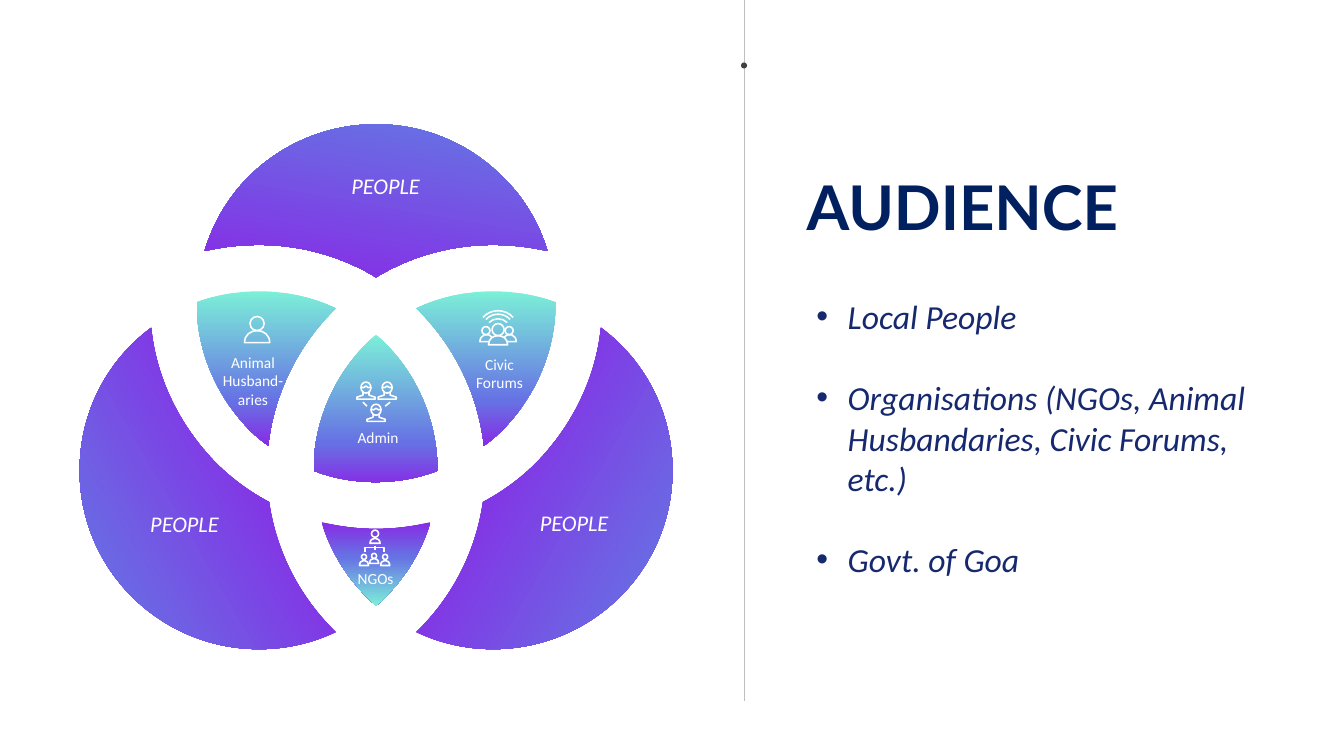
from copy import deepcopy

from lxml import etree
from pptx import Presentation
from pptx import util as u
from pptx.dml.color import RGBColor
from pptx.enum import shapes, text
from pptx.oxml.ns import qn

WHITE = RGBColor(0xFF, 0xFF, 0xFF)
PURPLE = RGBColor(0x88, 0x2B, 0xE5)
BLUE = RGBColor(0x66, 0x72, 0xE4)
MINT = RGBColor(0x7C, 0xEF, 0xD8)
NAVY = RGBColor(0x00, 0x20, 0x60)
INK = RGBColor(0x16, 0x28, 0x6E)
GREY = RGBColor(0xBF, 0xBF, 0xBF)
CHARCOAL = RGBColor(0x40, 0x40, 0x40)

TITLE = "AUDIENCE"
BULLETS = ["Local People",
           "Organisations (NGOs, Animal Husbandaries, Civic Forums, etc.)",
           "Govt. of Goa"]
PEOPLE = [(2.94, 1.71, 1.77, 0.27), (1.14, 5.06, 1.38, 0.27), (4.81, 5.05, 1.77, 0.27)]
LABELS = [
    (["Admin"], (3.21, 4.25, 1.08, 0.19), 0, True),
    (["Animal Husband-", "aries"], (1.98, 3.45, 1.06, 0.66), 1, True),
    (["Civic", "Forums"], (4.62, 3.47, 0.67, 0.47), 1, False),
    (["NGOs"], (3.35, 5.6, 0.75, 0.29), 1, True),
]

CENTRE = 3.73
SIDE_STOPS = [(0.28, PURPLE), (0.92, BLUE), (1, MINT)]
TOP_STOPS = [(0.03, MINT), (0.13, BLUE), (0.99, PURPLE)]
LENS_STOPS = [(0, MINT), (0.71, BLUE), (1, PURPLE)]
TIP_STOPS = [(0, PURPLE), (0.42, BLUE), (1, MINT)]

SIDE_PETAL = [(2.14, 4.59), (1.78, 4.22), (1.55, 3.75), (1.5, 3.25),
              (1.07, 3.57), (0.79, 4.08), (0.79, 4.67),
              (0.79, 5.65), (1.59, 6.44), (2.57, 6.44),
              (2.84, 6.44), (3.1, 6.38), (3.33, 6.27),
              (2.97, 5.92), (2.74, 5.47), (2.67, 4.98),
              (2.48, 4.88), (2.3, 4.75), (2.14, 4.59)]
TOP_PETAL = [(3.73, 2.75), (4.08, 2.54), (4.48, 2.43), (4.89, 2.43),
             (5.07, 2.43), (5.25, 2.45), (5.43, 2.49),
             (5.35, 2.22), (5.2, 1.96), (4.98, 1.75),
             (4.29, 1.06), (3.17, 1.06), (2.47, 1.75),
             (2.26, 1.96), (2.11, 2.22), (2.03, 2.49),
             (2.21, 2.45), (2.38, 2.43), (2.57, 2.43),
             (2.98, 2.43), (3.38, 2.54), (3.73, 2.75)]
TIP = [(3.19, 5.18), (3.29, 5.51), (3.48, 5.79), (3.73, 6.01),
       (3.98, 5.79), (4.17, 5.51), (4.27, 5.18),
       (3.91, 5.27), (3.55, 5.27), (3.19, 5.18)]
SIDE_LENS = [(2.57, 2.89), (2.35, 2.89), (2.14, 2.93), (1.95, 3),
             (1.95, 3.46), (2.13, 3.91), (2.47, 4.26),
             (2.53, 4.32), (2.6, 4.38), (2.66, 4.42),
             (2.72, 3.91), (2.95, 3.43), (3.33, 3.06),
             (3.1, 2.95), (2.84, 2.89), (2.57, 2.89)]
CORE = [(3.11, 4.67), (3.11, 4.16), (3.34, 3.66), (3.73, 3.32),
        (4.12, 3.66), (4.34, 4.16), (4.34, 4.67),
        (3.95, 4.82), (3.5, 4.82), (3.11, 4.67)]

BUSTS = [
    (2.55, 3.14, 0.14, 3.28, 0.25, 0.12),
    (3.72, 5.26, 0.07, 5.34, 0.1, 0.05),
    (3.61, 5.5, 0.05, 5.56, 0.09, 0.05),
    (3.82, 5.5, 0.05, 5.56, 0.09, 0.05),
    (3.71, 5.49, 0.05, 5.54, 0.09, 0.05),
    (4.94, 3.21, 0.12, 3.33, 0.19, 0.09),
]
ADMINS = [(3.63, 3.79), (3.84, 3.79), (3.73, 4.01)]
TORSO = [(-0.03, 0.1), (-0.03, 0.13), (-0.09, 0.15), (-0.09, 0.17),
         (0.09, 0.17), (0.09, 0.15), (0.03, 0.13), (0.03, 0.1)]
HAIR = [(0.05, 0.05), (0.04, 0.06), (0.01, 0.06), (0, 0.04),
        (-0.01, 0.06), (-0.04, 0.06), (-0.05, 0.05)]
FORUM_X = 4.94
FORUM_SIDE = [(4.85, 3.39), (4.85, 3.39), (4.76, 3.39), (4.76, 3.39),
              (4.76, 3.32), (4.84, 3.29), (4.88, 3.35)]
WAVES = [(0.09, 3.2, 3.15), (0.12, 3.17, 3.1), (0.15, 3.15, 3.06)]
TREE = [(3.62, 5.48), (3.62, 5.43), (3.81, 5.43), (3.81, 5.48)]
LINKS = [((3.72, 5.42), (3.72, 5.46)), ((3.6, 3.99), (3.64, 4.03)), ((3.87, 3.99), (3.82, 4.03))]

deck = Presentation()
deck.slide_width, deck.slide_height = u.Inches(13.33), u.Inches(7.5)
page = deck.slides.add_slide(deck.slide_layouts[6])


def mirror(points, axis):
    return [(2 * axis - x, y) for x, y in points]


def shift(points, dx, dy):
    return [(x + dx, y + dy) for x, y in points]


def outline(points, closed=False, curved=True):
    spots = [(u.Inches(x), u.Inches(y)) for x, y in points]
    builder = page.shapes.build_freeform(*spots[0], scale=1.0)
    builder.add_line_segments(spots[1:], close=closed)
    shape = builder.convert_to_shape()
    shape.shadow.inherit = False
    if curved:
        legs = list(shape.element.spPr.iter(qn("a:lnTo")))
        for first in range(0, len(points) - 1, 3):
            bend = etree.Element(qn("a:cubicBezTo"))
            legs[first].addprevious(bend)
            for leg in legs[first:first + 3]:
                bend.append(leg[0])
                leg.getparent().remove(leg)
    return shape


def stroke(shape):
    shape.fill.background()
    shape.line.color.rgb = WHITE
    shape.line.width = u.Pt(1.13)


def petal(points, stops, angle):
    shape = outline(points, closed=True)
    shape.line.fill.background()
    shape.fill.gradient()
    shape.fill.gradient_angle = -angle % 360
    stop_list = shape.element.spPr.find(".//" + qn("a:gsLst"))
    stop_list.append(deepcopy(stop_list[0]))
    for stop, (position, color) in zip(shape.fill.gradient_stops, stops):
        stop.position = position
        stop.color.rgb = color


def ellipse(left, top, width, height):
    shape = page.shapes.add_shape(shapes.MSO_SHAPE.OVAL, *map(u.Inches, (left, top, width, height)))
    shape.shadow.inherit = False
    return shape


def segment(start, end, color, width):
    line = page.shapes.add_connector(shapes.MSO_CONNECTOR.STRAIGHT, *map(u.Inches, start + end))
    line.line.color.rgb = color
    line.line.width = u.Pt(width)
    etree.SubElement(line.element.spPr, qn("a:effectLst"))


def write(lines, place, size=11, font="Calibri", color=WHITE, bold=False, italic=False,
          center=True, inset=0, wrap=True, leading=None, gap=0, bullet=None):
    box = page.shapes.add_textbox(*map(u.Inches, place))
    frame = box.text_frame
    frame.word_wrap = wrap
    frame.margin_left = frame.margin_right = u.Inches(0.1 * inset)
    frame.margin_top = frame.margin_bottom = u.Inches(0.05 * inset)
    for index, line in enumerate(lines):
        para = frame.paragraphs[0] if index == 0 else frame.add_paragraph()
        para.alignment = text.PP_ALIGN.CENTER if center else text.PP_ALIGN.LEFT
        para.space_before = u.Pt(gap if index else 0)
        if leading:
            para.line_spacing = u.Pt(leading)
        if bullet:
            props = para._p.get_or_add_pPr()
            props.set("marL", str(u.Inches(0.31)))
            props.set("indent", str(-u.Inches(0.31)))
            etree.SubElement(props, qn("a:buFont"), typeface="Arial")
            etree.SubElement(props, qn("a:buChar"), char=bullet)
        span = para.add_run()
        span.text = line
        span.font.size, span.font.name = u.Pt(size), font
        span.font.bold, span.font.italic = bold, italic
        span.font.color.rgb = color


def bust(x, head_top, head, top, width, height):
    stroke(ellipse(x - head / 2, head_top, head, head))
    half, base, peak = width / 2, top + height, top - height / 3
    stroke(outline([(x - half, base), (x - half, peak), (x + half, peak), (x + half, base)],
                   closed=True))


petal(SIDE_PETAL, SIDE_STOPS, 150)
petal(TOP_PETAL, TOP_STOPS, 100)
petal(mirror(SIDE_PETAL, CENTRE), SIDE_STOPS, 30)
petal(TIP, TIP_STOPS, 90)
for lens in (mirror(SIDE_LENS, CENTRE), SIDE_LENS, CORE):
    petal(lens, LENS_STOPS, 90)

for figure in BUSTS:
    bust(*figure)
for x, y in ADMINS:
    stroke(outline(shift(TORSO, x, y), curved=False))
    stroke(ellipse(x - 0.05, y, 0.1, 0.11))
    stroke(outline(shift(HAIR, x, y)))
for side, head_left in ((FORUM_SIDE, 4.78), (mirror(FORUM_SIDE, FORUM_X), 5.01)):
    stroke(ellipse(head_left, 3.24, 0.08, 0.08))
    stroke(outline(side))
for half, base, top in WAVES:
    wave = [(-half, base), (-half / 2, top), (half / 2, top), (half, base)]
    stroke(outline(shift(wave, FORUM_X, 0)))
stroke(outline(TREE, curved=False))
for start, end in LINKS:
    segment(start, end, WHITE, 1.13)

segment((7.38, 0), (7.38, 6.95), GREY, 0.5)
dot = ellipse(7.35, 0.62, 0.06, 0.06)
dot.fill.solid()
dot.fill.fore_color.rgb = CHARCOAL
dot.line.fill.background()

for place in PEOPLE:
    write(["PEOPLE"], place, size=16, italic=True)
for lines, place, inset, wrap in LABELS:
    write(lines, place, inset=inset, wrap=wrap)
write([TITLE], (8, 1.85, 3.94, 0.56), size=44, font="Lato", color=NAVY, bold=True,
      center=False, leading=40)
write(BULLETS, (8, 2.89, 4.46, 2.93), size=24, color=INK, italic=True,
      center=False, inset=1, gap=29, bullet="•")

deck.save("out.pptx")
